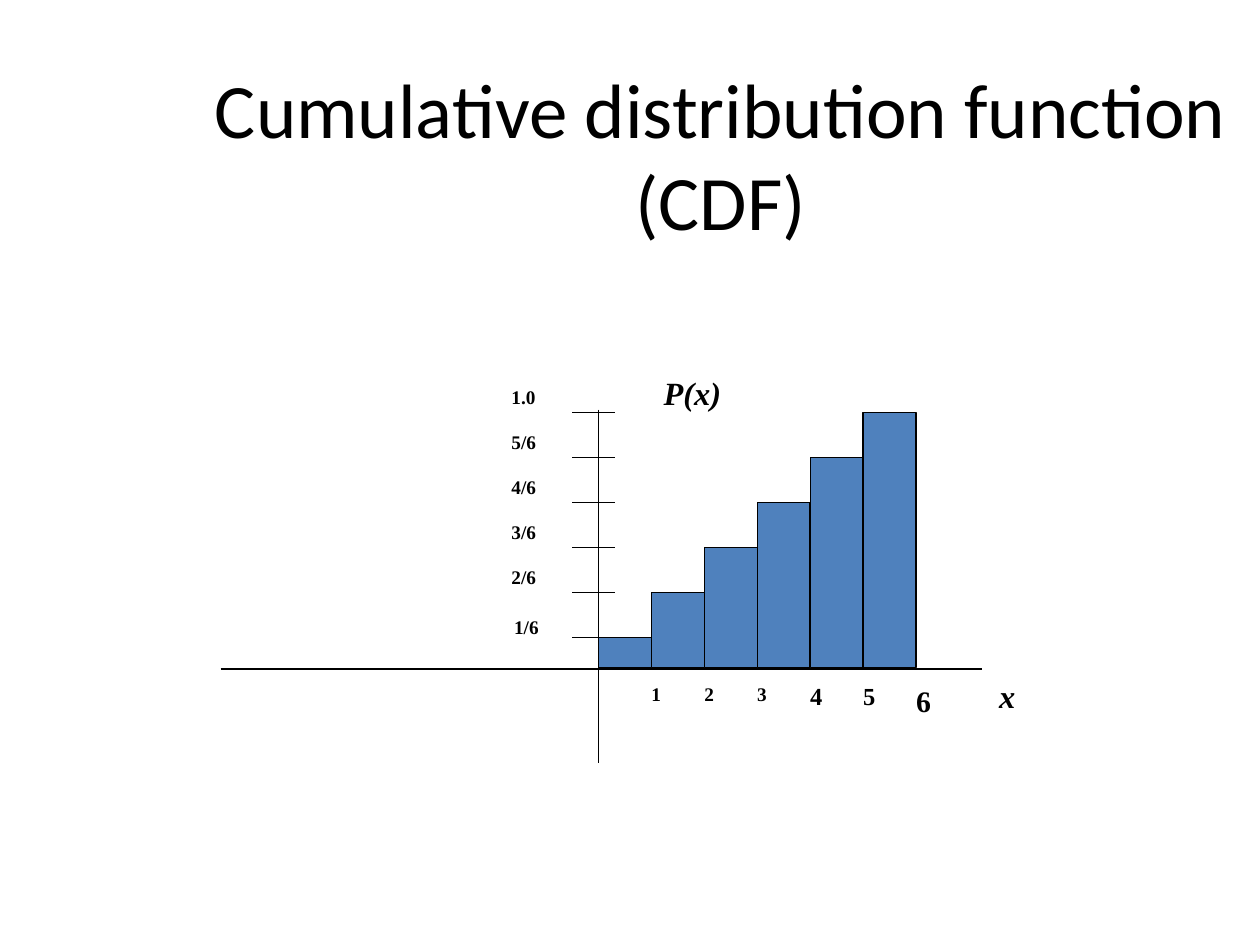
from pptx import Presentation
from pptx.dml.color import RGBColor
from pptx.enum import shapes, text
from pptx.util import Pt
from lxml import etree

COLORS = {"ink": "000000", "bar": "4F81BD"}
DRAWING = "{http://schemas.openxmlformats.org/drawingml/2006/main}"


class Sketch:
    """Holds the style and the current slide; all lengths are points."""

    heading_font = "Calibri"
    label_font = "Times New Roman"
    line_width = 0.75

    def __init__(self, page):
        self.page = page
        self.figure = page.shapes.add_group_shape().shapes

    def color(self, name):
        return RGBColor.from_string(COLORS[name])

    def outline(self, line):
        line.color.rgb = self.color("ink")
        line.width = Pt(self.line_width)

    def span(self, para, words, font, size, bold=False, italic=False):
        span = para.add_run()
        span.text = words
        span.font.name = font
        span.font.size = Pt(size)
        span.font.bold = bold
        span.font.italic = italic
        span.font.color.rgb = self.color("ink")

    def title(self, words, left, top, width, height):
        box = self.page.shapes.title
        box.left, box.top = Pt(left), Pt(top)
        box.width, box.height = Pt(width), Pt(height)
        box.text_frame.vertical_anchor = text.MSO_ANCHOR.MIDDLE
        para = box.text_frame.paragraphs[0]
        para.alignment = text.PP_ALIGN.CENTER
        self.span(para, words, self.heading_font, 44)

    def bar(self, left, top, width, height):
        bar = self.figure.add_shape(shapes.MSO_SHAPE.RECTANGLE,
                                    Pt(left), Pt(top), Pt(width), Pt(height))
        bar.shadow.inherit = False
        bar.fill.solid()
        bar.fill.fore_color.rgb = self.color("bar")
        self.outline(bar.line)

    def line(self, x1, y1, x2, y2):
        line = self.figure.add_connector(shapes.MSO_CONNECTOR.STRAIGHT,
                                         Pt(x1), Pt(y1), Pt(x2), Pt(y2))
        self.outline(line.line)
        etree.SubElement(line._element.spPr, DRAWING + "effectLst")

    def label(self, words, left, top, width, height, size=11,
              spacing=0.8, inset=(0, 0), italic=False):
        box = self.figure.add_textbox(Pt(left), Pt(top), Pt(width), Pt(height))
        frame = box.text_frame
        frame.word_wrap = True
        frame.margin_left = frame.margin_right = Pt(inset[0])
        frame.margin_top = frame.margin_bottom = Pt(inset[1])
        para = frame.paragraphs[0]
        para.line_spacing = spacing
        self.span(para, words, self.label_font, size, bold=True, italic=italic)

    def axis_name(self, words, left, top, width):
        self.label(words, left, top, width, 31, size=18.5, spacing=0.9,
                   inset=(7.2, 3.6), italic=True)


def main():
    deck = Presentation()
    deck.slide_width, deck.slide_height = Pt(720), Pt(540)
    sketch = Sketch(deck.slides.add_slide(deck.slide_layouts[5]))
    sketch.title("Cumulative distribution function (CDF)", 77.8, 30.2, 668.2, 115.2)

    # Scales: one column per outcome, one level per sixth
    origin, base, column = 342, 381.6, 30.24
    first_level, level_step = 364.3, 25.75
    outcomes = range(1, 7)
    levels = [first_level - level_step * (n - 1) for n in outcomes]

    # Cumulative bars
    for n, level in zip(outcomes, levels):
        sketch.bar(origin + column * (n - 1), level, column, base - level)

    # Axes and their names
    sketch.line(origin, 234, origin, 436.3)
    sketch.line(126, 382.3, 560.9, 382.3)
    sketch.axis_name("x", 563.8, 385.2, 42.5)
    sketch.axis_name("P(x)", 372.2, 212.4, 71.3)

    # Probability ticks, with the lowest label set slightly apart
    fractions = ["1/6", "2/6", "3/6", "4/6", "5/6", "1.0"]
    for n, level, fraction in zip(outcomes, levels, fractions):
        sketch.line(326.9, level, 351.4, level)
        left, rise = (293.8, 10.1) if n == 1 else (292.3, 12.8)
        sketch.label(fraction, left, level - rise, 31.7, 15.1)

    # Outcome labels, which grow towards the right
    for n, size in zip(outcomes, [11, 11, 11, 14, 14, 17]):
        sketch.label(str(n), origin + column * n, 392.4, 15, size + 4,
                     size=size, spacing=0.9 if n == 6 else 0.8)

    deck.save("out.pptx")


if __name__ == "__main__":
    main()
